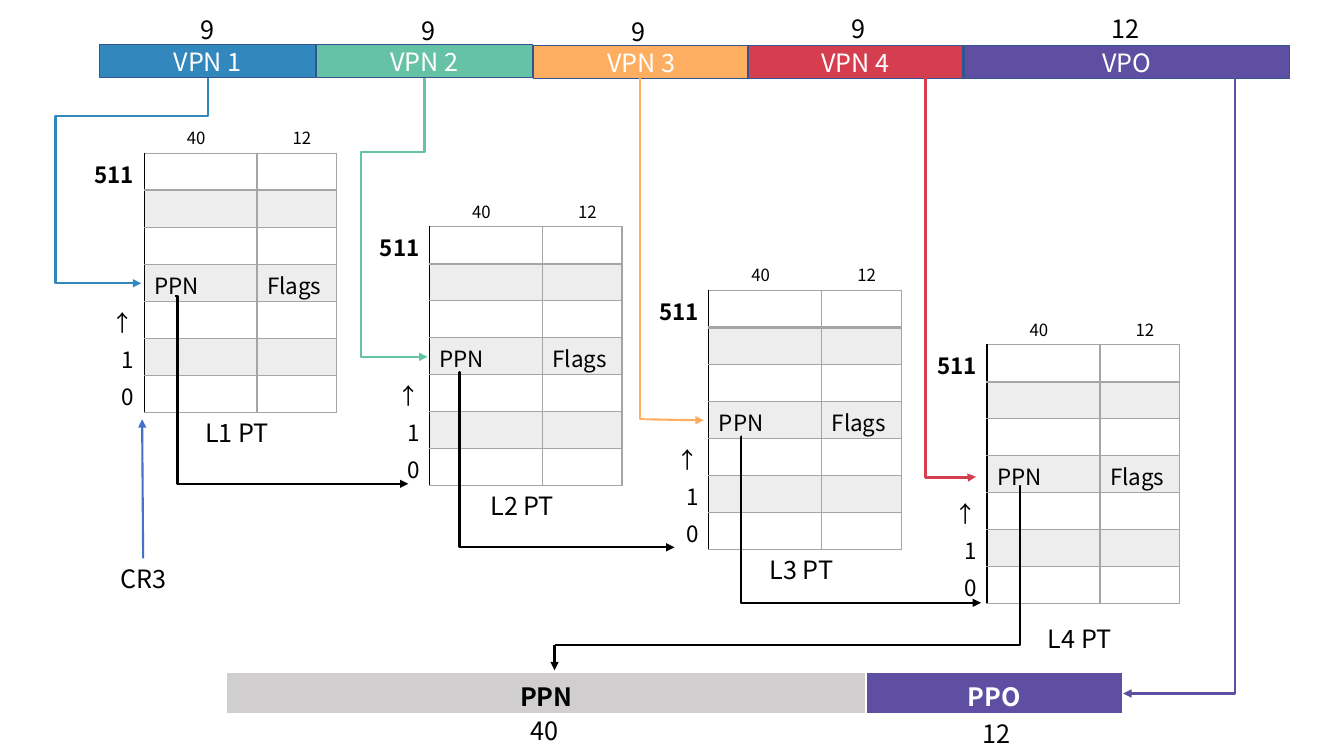
from lxml.etree import SubElement
from pptx import Presentation
from pptx.dml.color import RGBColor
from pptx.enum.shapes import MSO_CONNECTOR as Link, MSO_SHAPE as Shape
from pptx.enum.text import MSO_ANCHOR as Anchor, MSO_AUTO_SIZE as AutoSize, PP_ALIGN as Align
from pptx.oxml.ns import qn
from pptx.util import Inches, Pt


class Theme:
    font = "Noto Sans CJK SC"
    large, medium, small = 18, 16, 12
    black, white = "000000", "FFFFFF"
    blue, green, orange, red, purple = "3288BD", "66C2A5", "FDAE61", "D53E4F", "5E4FA2"
    outline, register = "325491", "4472C4"
    grid, band, frame = "A5A5A5", "EDEDED", "D0CECE"


def write(frame, text, size=Theme.large, color=Theme.black, bold=False, align=Align.CENTER):
    frame.text = text
    paragraph = frame.paragraphs[0]
    paragraph.alignment = align
    for run in paragraph.runs:
        run.font.name = Theme.font
        run.font.size = Pt(size)
        run.font.bold = bold
        run.font.color.rgb = RGBColor.from_string(color)


def connect(color, begin, end, bend=None, adjust=(), downward=False, arrow=True):
    (x1, y1), (x2, y2) = begin, end
    leftward = x2 < x1
    if downward:
        middle_x, middle_y = (x1 + x2) / 2, (y1 + y2) / 2
        half_w, half_h = abs(y2 - y1) / 2, abs(x2 - x1) / 2
        side = 1 if leftward else -1
        x1, x2 = middle_x - side * half_w, middle_x + side * half_w
        y1, y2 = middle_y - half_h, middle_y + half_h
    link = slide.shapes.add_connector(
        Link.ELBOW if bend else Link.STRAIGHT, Inches(x1), Inches(y1), Inches(x2), Inches(y2))
    link.line.color.rgb = RGBColor.from_string(color)
    link.line.width = Pt(1.5)
    properties = link._element.spPr
    if downward:
        properties.find(qn("a:xfrm")).set("rot", str((90 if leftward else 270) * 60000))
    if bend:
        geometry = properties.find(qn("a:prstGeom"))
        geometry.set("prst", f"bentConnector{bend}")
        guides = geometry.find(qn("a:avLst"))
        for number, share in enumerate(adjust, 1):
            SubElement(guides, qn("a:gd"), name=f"adj{number}", fmla=f"val {round(share * 100000)}")
    if arrow:
        SubElement(properties.find(qn("a:ln")), qn("a:tailEnd"), type="triangle")
    SubElement(properties, qn("a:effectLst"))


deck = Presentation()
deck.slide_width, deck.slide_height = Inches(13.33), Inches(7.5)
slide = deck.slides.add_slide(deck.slide_layouts[6])

address_fields = [
    ("VPN 1", 0.99, 0.44, 2.14, Theme.blue),
    ("VPN 2", 3.14, 0.44, 2.14, Theme.green),
    ("VPN 3", 5.29, 0.45, 2.14, Theme.orange),
    ("VPN 4", 7.42, 0.45, 2.13, Theme.red),
    ("VPO", 9.56, 0.45, 3.23, Theme.purple),
]
for name, left, top, width, color in address_fields:
    field = slide.shapes.add_shape(
        Shape.RECTANGLE, Inches(left), Inches(top), Inches(width), Inches(0.33))
    field.shadow.inherit = False
    field.fill.solid()
    field.fill.fore_color.rgb = RGBColor.from_string(color)
    field.line.color.rgb = RGBColor.from_string(Theme.outline)
    field.line.width = Pt(1)
    field.text_frame.vertical_anchor = Anchor.MIDDLE
    write(field.text_frame, name, color=Theme.white)

labels = [
    ("9", 1.89, 0.09, 0.34, Theme.large),
    ("9", 4.08, 0.1, 0.34, Theme.large),
    ("9", 6.16, 0.11, 0.34, Theme.large),
    ("9", 8.34, 0.08, 0.34, Theme.large),
    ("12", 10.92, 0.08, 0.48, Theme.large),
    ("CR3", 1.07, 5.54, 0.7, Theme.large),
    ("40", 5.16, 7.05, 0.48, Theme.large),
    ("12", 9.64, 7.08, 0.48, Theme.large),
]

page_tables = [(0.8, 1.52, 4.09), (3.63, 2.25, 4.82), (6.4, 2.88, 5.45), (9.16, 3.42, 6.13)]
entries = [
    ("511", "", ""),
    ("", "", ""),
    ("", "", ""),
    ("", "PPN", "Flags"),
    ("↑", "", ""),
    ("1", "", ""),
    ("0", "", ""),
]
for level, (left, top, caption_top) in enumerate(page_tables, 1):
    labels += [
        ("40", left + 0.95, top - 0.3, 0.39, Theme.small),
        ("12", left + 2, top - 0.3, 0.39, Theme.small),
        (f"L{level} PT", left + 1.1, caption_top, 0.9, Theme.large),
    ]
    page_table = slide.shapes.add_table(
        len(entries), 3, Inches(left), Inches(top), Inches(2.54), Inches(2.57)).table
    page_table.first_row = page_table.horz_banding = False
    for column, width in zip(page_table.columns, (0.63, 1.12, 0.79)):
        column.width = Inches(width)
    for r, entry in enumerate(entries):
        for c, text in enumerate(entry):
            cell = page_table.cell(r, c)
            cell.margin_top, cell.margin_bottom = Inches(0.04), 0
            write(cell.text_frame, text, Theme.medium, bold=text == "511",
                  align=Align.LEFT if c else Align.RIGHT)
            for edge in "LRTB" if c else "R":
                thick = edge == "B" and r == 0
                axis = (c, edge) in ((0, "R"), (1, "L"))
                border = SubElement(cell._tc.get_or_add_tcPr(), qn(f"a:ln{edge}"),
                                    w=str(Pt(2 if thick else 1)))
                paint = SubElement(border, qn("a:solidFill"))
                SubElement(paint, qn("a:srgbClr"), val=Theme.black if axis else Theme.grid)
            cell.fill.solid()
            cell.fill.fore_color.rgb = RGBColor.from_string(
                Theme.band if c and r % 2 else Theme.white)

physical_address = slide.shapes.add_table(
    1, 2, Inches(2.25), Inches(6.67), Inches(8.88), Inches(0.41)).table
parts = [("PPN", 6.34, Theme.frame, Theme.black), ("PPO", 2.54, Theme.purple, Theme.white)]
for c, (name, width, color, ink) in enumerate(parts):
    physical_address.columns[c].width = Inches(width)
    cell = physical_address.cell(0, c)
    cell.margin_top, cell.margin_bottom = Inches(0.05), 0
    cell.fill.solid()
    cell.fill.fore_color.rgb = RGBColor.from_string(color)
    write(cell.text_frame, name, color=ink, bold=True)

for text, left, top, width, size in labels:
    height = 0.3 if size == Theme.small else 0.4
    label = slide.shapes.add_textbox(Inches(left), Inches(top), Inches(width), Inches(height))
    label.text_frame.word_wrap = False
    label.text_frame.auto_size = AutoSize.SHAPE_TO_FIT_TEXT
    write(label.text_frame, text, size)

connect(Theme.register, (1.42, 5.54), (1.41, 4.16))
connect(Theme.blue, (2.06, 0.77), (0.8, 2.81), 4, (0.185, 1.198), downward=True, arrow=False)
connect(Theme.blue, (0.59, 2.81), (1.4, 2.81))
connect(Theme.green, (4.21, 0.77), (3.63, 3.54), 4, (0.268, 1.091), downward=True, arrow=False)
connect(Theme.green, (3.63, 3.54), (4.24, 3.54))
connect(Theme.orange, (6.35, 0.77), (6.4, 4.16), 2, downward=True, arrow=False)
connect(Theme.orange, (6.4, 4.16), (6.98, 4.17))
connect(Theme.red, (9.18, 0.77), (9.68, 4.73), 3, (1.002,), downward=True)
connect(Theme.purple, (12.25, 0.64), (11.14, 6.88), 2, downward=True)
connect(Theme.black, (1.74, 2.94), (4.05, 4.8), 3, (0.009,))
connect(Theme.black, (4.55, 3.69), (6.69, 5.43), 3, (0.004,))
connect(Theme.black, (7.35, 4.33), (9.73, 5.98), 3, (0.001,))
connect(Theme.black, (10.12, 4.82), (5.5, 6.4), 3, (0.001,), arrow=False)
connect(Theme.black, (5.5, 6.4), (5.5, 6.65))

deck.save("out.pptx")
